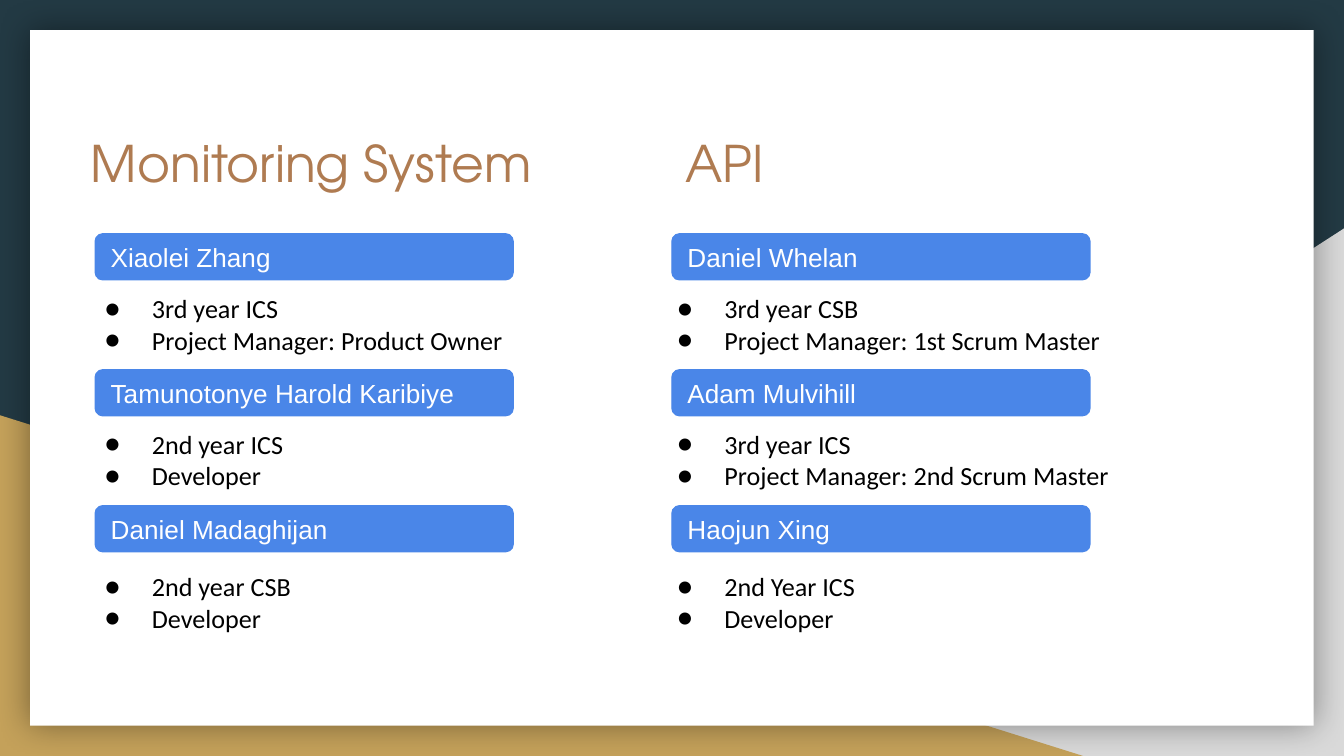
from lxml.etree import SubElement
from pptx import Presentation
from pptx.dml.color import RGBColor
from pptx.enum.shapes import MSO_SHAPE as Shape
from pptx.enum.text import MSO_ANCHOR as Anchor, MSO_AUTO_SIZE as AutoSize, PP_ALIGN as Align
from pptx.oxml import parse_xml
from pptx.oxml.ns import nsdecls, qn
from pptx.util import Cm, Pt


def paint(target, colour):
    target.solid()
    target.fore_color.rgb = RGBColor.from_string(colour)


def write(box, lines, font, size, colour):
    frame = box.text_frame
    frame.word_wrap = True
    frame.margin_left = frame.margin_right = Cm(0.25)
    frame.margin_top = frame.margin_bottom = Cm(0.25)
    frame.text = "\n".join(lines)
    for para in frame.paragraphs:
        para.alignment = Align.LEFT
        para.font.name = font
        para.font.size = Pt(size)
        para.font.color.rgb = RGBColor.from_string(colour)
    return frame


deck = Presentation()
deck.slide_width = Cm(25.4)
deck.slide_height = Cm(14.29)
page = deck.slides.add_slide(deck.slide_layouts[6])
paint(page.background.fill, "233A44")

backdrop = [
    (Shape.RIGHT_TRIANGLE, 9.96, 4.32, 15.44, 9.97, "D9D9D9"),
    (Shape.RIGHT_TRIANGLE, 0, 7.85, 20.47, 6.44, "C4A15A"),
    (Shape.RECTANGLE, 0.57, 0.57, 24.26, 13.15, "FFFFFF"),
]
panels = []
for kind, left, top, width, height, colour in backdrop:
    panel = page.shapes.add_shape(kind, Cm(left), Cm(top), Cm(width), Cm(height))
    panel.shadow.inherit = False
    paint(panel.fill, colour)
    panel.line.fill.background()
    panels.append(panel)

grey_corner, gold_corner, card = panels
grey_corner._element.spPr.find(qn("a:xfrm")).set("flipH", "1")
card._element.spPr.find(qn("a:effectLst")).append(parse_xml(
    f'<a:outerShdw {nsdecls("a")} blurRad="{Pt(18)}" dist="0" algn="ctr" rotWithShape="0">'
    '<a:srgbClr val="000000"><a:alpha val="40000"/></a:srgbClr></a:outerShdw>'
))

teams = [
    ("Monitoring System", 1.47, 1.8, 1.35, 8.79, [
        ("Xiaolei Zhang", ["3rd year ICS", "Project Manager: Product Owner"]),
        ("Tamunotonye Harold Karibiye", ["2nd year ICS", "Developer"]),
        ("Daniel Madaghijan", ["2nd year CSB", "Developer"]),
    ]),
    ("API", 12.7, 12.7, 12.17, 9.22, [
        ("Daniel Whelan", ["3rd year CSB", "Project Manager: 1st Scrum Master"]),
        ("Adam Mulvihill", ["3rd year ICS", "Project Manager: 2nd Scrum Master"]),
        ("Haojun Xing", ["2nd Year ICS", "Developer"]),
    ]),
]
bar_top, bar_step = 4.42, 2.57
role_tops = [5.28, 7.85, 10.54]

for team, title_left, bar_left, role_left, role_width, members in teams:
    title = page.shapes.add_textbox(Cm(title_left), Cm(2.24), Cm(9.22), Cm(1.63))
    write(title, [team], "TeX Gyre Adventor", 27, "AF7B51")

    for row, (name, roles) in enumerate(members):
        bar = page.shapes.add_shape(
            Shape.ROUNDED_RECTANGLE, Cm(bar_left), Cm(bar_top + row * bar_step), Cm(7.9), Cm(0.87))
        bar.shadow.inherit = False
        paint(bar.fill, "4A86E8")
        paint(bar.line.fill, "4A86E8")
        bar.line.width = Pt(0.75)
        write(bar, [name], "Arial", 14, "FFFFFF").vertical_anchor = Anchor.MIDDLE

        box = page.shapes.add_textbox(Cm(role_left), Cm(role_tops[row]), Cm(role_width), Cm(1.7))
        frame = write(box, roles, "Calibri", 14, "000000")
        frame.auto_size = AutoSize.SHAPE_TO_FIT_TEXT
        for para in frame.paragraphs:
            props = para._p.get_or_add_pPr()
            props.set("marL", str(Cm(1.27)))
            props.set("indent", str(-Cm(0.89)))
            bullet = parse_xml(f'<a:buChar {nsdecls("a")} char="●"/>')
            bullet_colour = parse_xml(f'<a:buClr {nsdecls("a")}/>')
            SubElement(bullet_colour, qn("a:srgbClr"), val="000000")
            bullet_font = parse_xml(f'<a:buFont {nsdecls("a")} typeface="Calibri"/>')
            for position, part in enumerate([bullet_colour, bullet_font, bullet]):
                props.insert(position, part)

deck.save("out.pptx")
